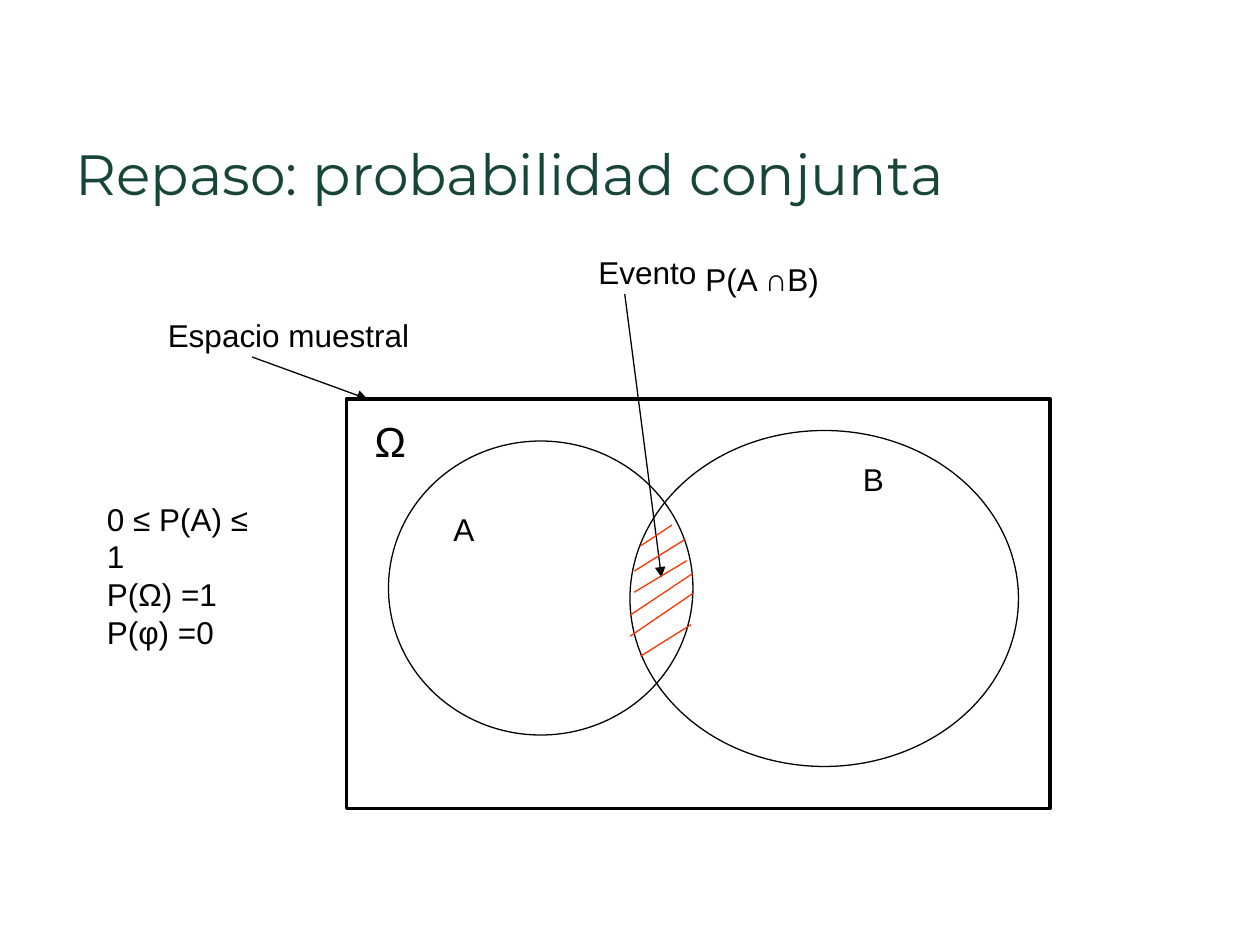
from dataclasses import dataclass

from lxml import etree
from pptx import Presentation
from pptx.dml.color import RGBColor
from pptx.enum.shapes import MSO_CONNECTOR, MSO_SHAPE
from pptx.enum.text import MSO_ANCHOR, MSO_AUTO_SIZE, PP_ALIGN
from pptx.oxml.ns import qn
from pptx.util import Inches, Pt

RECTANGLE, OVAL = MSO_SHAPE.RECTANGLE, MSO_SHAPE.OVAL
STRAIGHT = MSO_CONNECTOR.STRAIGHT
TOP, LEFT, NO_AUTOFIT = MSO_ANCHOR.TOP, PP_ALIGN.LEFT, MSO_AUTO_SIZE.NONE
COLUMNS, ROWS = 120, 90
TITLE_ONLY = 5


@dataclass(frozen=True)
class Theme:
    title_font: str = "Montserrat"
    body_font: str = "Arial"
    title_color: RGBColor = RGBColor(0x18, 0x45, 0x3B)
    ink: RGBColor = RGBColor(0, 0, 0)
    hatch: RGBColor = RGBColor(0xFF, 0x33, 0x00)
    title_size: float = 32.4
    omega_size: float = 24
    body_size: float = 18
    thick: float = 2
    thin: float = 0.75


theme = Theme()
presentation = Presentation()
presentation.slide_width, presentation.slide_height = Inches(10), Inches(7.5)
column = presentation.slide_width / COLUMNS
row = presentation.slide_height / ROWS
slide = presentation.slides.add_slide(presentation.slide_layouts[TITLE_ONLY])


def grid(x, y, x2, y2):
    """Turn two column and row pairs into slide lengths."""
    return [round(x * column), round(y * row), round(x2 * column), round(y2 * row)]


def write(shape, lines, font_name, size, color, wrap):
    frame = shape.text_frame
    frame.word_wrap = wrap
    frame.auto_size = NO_AUTOFIT
    frame.vertical_anchor = TOP
    for index, line in enumerate(lines):
        paragraph = frame.add_paragraph() if index else frame.paragraphs[0]
        paragraph.alignment = LEFT
        run = paragraph.add_run()
        run.text = line
        run.font.name = font_name
        run.font.size = Pt(size)
        run.font.color.rgb = color


# Title
title = slide.shapes.title
title.left, title.top, title.width, title.height = grid(6, 12.6, 108, 6.4)
write(title, ["Repaso: probabilidad conjunta"], theme.title_font,
      theme.title_size, theme.title_color, True)

# Sample space and the two events
for preset, box, weight in (
    (RECTANGLE, (33, 38, 67, 39), theme.thick),
    (OVAL, (37, 42, 29, 28), theme.thin),
    (OVAL, (60, 41, 37, 32), theme.thin),
):
    region = slide.shapes.add_shape(preset, *grid(*box))
    region.shadow.inherit = False
    region.fill.background()
    region.line.color.rgb = theme.ink
    region.line.width = Pt(weight)

# Labels and axioms
for lines, box, size, wrap in (
    (["A"], (42, 48, 4.4, 4.8), theme.body_size, True),
    (["B"], (81, 43.2, 4.4, 4.8), theme.body_size, True),
    (["Ω"], (34.5, 39, 5.5, 6), theme.omega_size, False),
    (["Evento"], (55.8, 23.5, 11.9, 4.8), theme.body_size, False),
    (["Espacio muestral"], (14.8, 29.5, 25.7, 4.8), theme.body_size, False),
    (["0 ≤ P(A) ≤ 1", "P(Ω) =1", "P(φ) =0"], (9, 47, 18.2, 12), theme.body_size, True),
    (["P(A ∩B)"], (66, 24.2, 13.4, 4.8), theme.body_size, False),
):
    label = slide.shapes.add_textbox(*grid(*box))
    write(label, lines, theme.body_font, size, theme.ink, wrap)

# Pointers, then the hatching of the intersection
pointers = [(24, 34, 35, 38), (59.5, 28, 63, 55)]
hatching = [
    (64, 50, 61, 52),
    (65.2, 51.4, 60.4, 54.4),
    (65.4, 53.4, 60.4, 56.4),
    (66, 54.6, 60, 58.6),
    (66, 56.5, 60, 60.6),
    (65.8, 59.5, 61, 62.5),
]
for ends in pointers + hatching:
    is_pointer = ends in pointers
    connector = slide.shapes.add_connector(STRAIGHT, *grid(*ends))
    connector.line.color.rgb = theme.ink if is_pointer else theme.hatch
    connector.line.width = Pt(theme.thin)
    properties = connector._element.spPr
    if is_pointer:
        etree.SubElement(properties.find(qn("a:ln")), qn("a:tailEnd"), type="triangle")
    etree.SubElement(properties, qn("a:effectLst"))

presentation.save("out.pptx")
